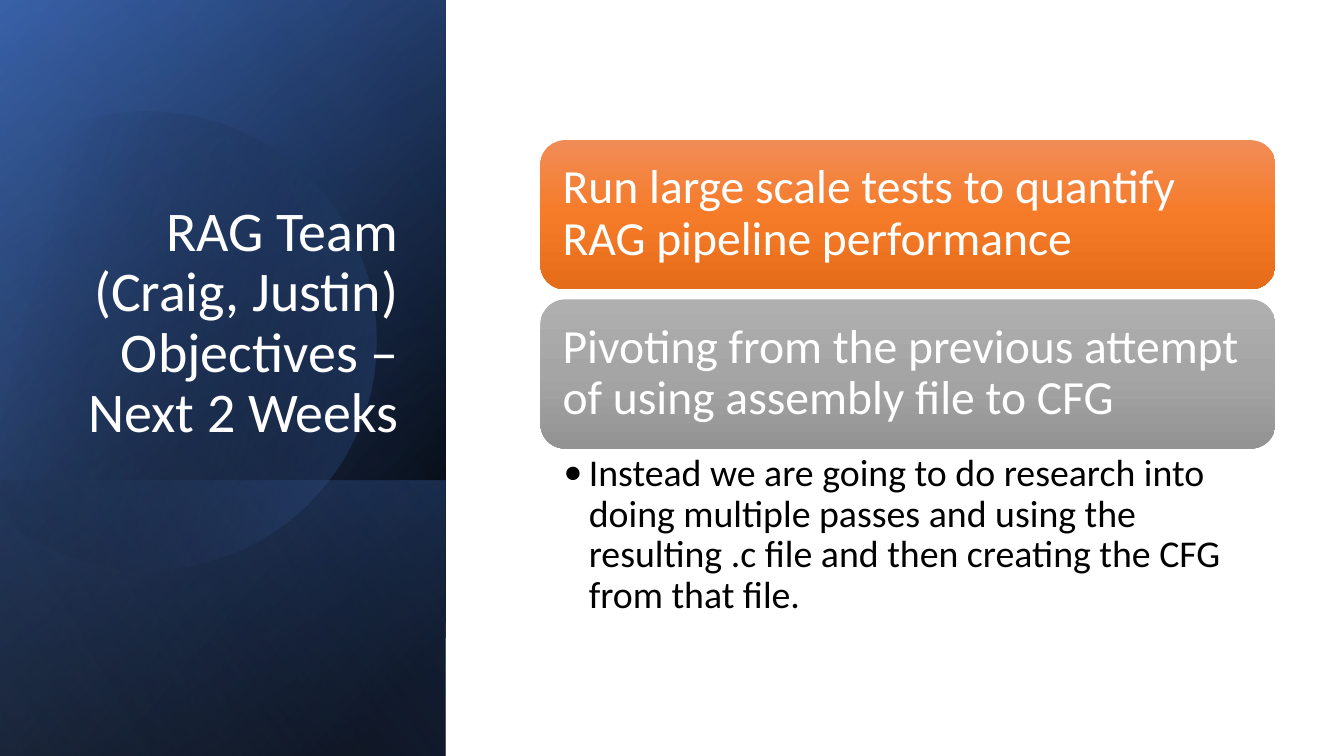
import math
from lxml import etree
from pptx import Presentation, util as u
from pptx.dml.color import RGBColor
from pptx.enum import shapes, text
from pptx.oxml.ns import qn

PX = 9144  # 100 px to the inch
THEME = dict(
    font="Calibri", title=40, card=34, note=27,
    white="FFFFFF", black="000000", navy="2F5597", blue="4472C4", sky="8FAADC",
    orange=("F18C57", "F67B28", "E56C19"), gray=("AFAFAF", "A5A5A5", "939393"),
)
BLACK, BLUE = THEME["black"], THEME["blue"]


def shade(shape, stops, angle):
    """Gradient from (position %, colour, opacity %) stops, angle clockwise; no line or shadow."""
    shape.shadow.inherit = False
    shape.line.fill.background()
    shape.fill.gradient()
    grad = shape._element.spPr.find(qn("a:gradFill"))
    grad.set("rotWithShape", "1")
    grad.find(qn("a:lin")).set("ang", str(angle * 60000))
    bands = grad.find(qn("a:gsLst"))
    for old in list(bands):
        bands.remove(old)
    for spot, color, alpha in stops:
        stop = etree.SubElement(bands, qn("a:gs"), pos=str(spot * 1000))
        tint = etree.SubElement(stop, qn("a:srgbClr"), val=color)
        if alpha < 100:
            etree.SubElement(tint, qn("a:alpha"), val=str(alpha * 1000))


def write(shape, words, size, color="white", align="LEFT", anchor="TOP",
          pad=(10, 5, 10, 5), hang=0):
    """Fill a shape with one paragraph; hang is the bullet's indent in px."""
    frame = shape.text_frame
    frame.word_wrap = True
    frame.vertical_anchor = text.MSO_ANCHOR[anchor]
    (frame.margin_left, frame.margin_top,
     frame.margin_right, frame.margin_bottom) = [n * PX for n in pad]
    para = frame.paragraphs[0]
    para.alignment = text.PP_ALIGN[align]
    para.line_spacing = 0.9
    if hang:
        props = para._p.get_or_add_pPr()
        props.set("marL", str(hang * PX))
        props.set("indent", str(-hang * PX))
        etree.SubElement(props, qn("a:buFont"), typeface=THEME["font"])
        etree.SubElement(props, qn("a:buChar"), char="•")
    run = para.add_run()
    run.text = words
    run.font.size = u.Pt(THEME[size])
    run.font.name = THEME["font"]
    run.font.color.rgb = RGBColor.from_string(THEME[color])


deck = Presentation()
deck.slide_width, deck.slide_height = 1333 * PX, 750 * PX
items = deck.slides.add_slide(deck.slide_layouts[6]).shapes

# Side panel: turned, mirrored rectangles, with a disc cut off at the left edge
tall = (-154, 154, 750, 442)
panels = [
    (tall, [(8, BLACK, 100), (100, THEME["navy"], 100)], 50),
    (tall, [(0, BLACK, 0), (99, BLUE, 46)], 30),
    ((84, 393, 274, 442), [(2, BLUE, 29), (100, BLACK, 30)], 130),
    (tall, [(0, BLACK, 0), (99, THEME["sky"], 11)], 120),
]
for num, (box, stops, angle) in enumerate(panels):
    if num == 3:
        radius, mid_x, mid_y = 227, 146, 334
        turns = [math.radians(deg) for deg in (-119, -90, 0, 90, 151)]
        knots = [(round(mid_x + radius * math.cos(t)), round(mid_y + radius * math.sin(t)))
                 for t in turns]
        path = items.build_freeform(*knots[0], scale=PX)
        path.add_line_segments(knots[1:], close=True)
        disc = path.convert_to_shape()
        # Bend each straight side into a cubic arc
        min_x, min_y = min(x for x, _ in knots), min(y for _, y in knots)
        for i, side in enumerate(list(disc._element.iter(qn("a:lnTo")))[:4]):
            begin, end = turns[i], turns[i + 1]
            pull = radius * 4 / 3 * math.tan((end - begin) / 4)
            curve = etree.Element(qn("a:cubicBezTo"))
            for (x, y), t, reach in ((knots[i], begin, pull), (knots[i + 1], end, -pull),
                                     (knots[i + 1], end, 0)):
                etree.SubElement(curve, qn("a:pt"),
                                 x=str(round(x - reach * math.sin(t) - min_x)),
                                 y=str(round(y + reach * math.cos(t) - min_y)))
            side.getparent().replace(side, curve)
        disc.rotation = 343.9
        shade(disc, [(29, BLACK, 0), (100, BLUE, 43)], 30)
    panel = items.add_shape(shapes.MSO_SHAPE.RECTANGLE, *[n * PX for n in box])
    panel.rotation = 90
    panel._element.spPr.find(qn("a:xfrm")).set("flipH", "1")
    shade(panel, stops, angle)

title = items.add_textbox(*[n * PX for n in (64, 184, 341, 262)])
write(title, "RAG Team (Craig, Justin) Objectives – Next 2 Weeks", "title",
      align="RIGHT", anchor="BOTTOM")

# Objectives
left, top, wide, high, step = 536, 139, 729, 148, 158
cards = [
    ("Run large scale tests to quantify RAG pipeline performance", "orange"),
    ("Pivoting from the previous attempt of using assembly file to CFG", "gray"),
]
for row, (words, hue) in enumerate(cards):
    y = top + row * step
    card = items.add_shape(shapes.MSO_SHAPE.ROUNDED_RECTANGLE,
                           left * PX, y * PX, wide * PX, high * PX)
    shade(card, [(50 * i, color, 100) for i, color in enumerate(THEME[hue])], 90)
    label = items.add_textbox((left + 8) * PX, (y + 7) * PX,
                              (wide - 14) * PX, (high - 15) * PX)
    write(label, words, "card", anchor="MIDDLE", pad=(14,) * 4)

note = items.add_textbox(left * PX, (top + step + high) * PX, wide * PX, 177 * PX)
write(note, "Instead we are going to do research into doing multiple passes and using "
      "the resulting .c file and then creating the CFG from that file.",
      "note", color="black", pad=(23, 5, 26, 5), hang=25)

deck.save("out.pptx")
